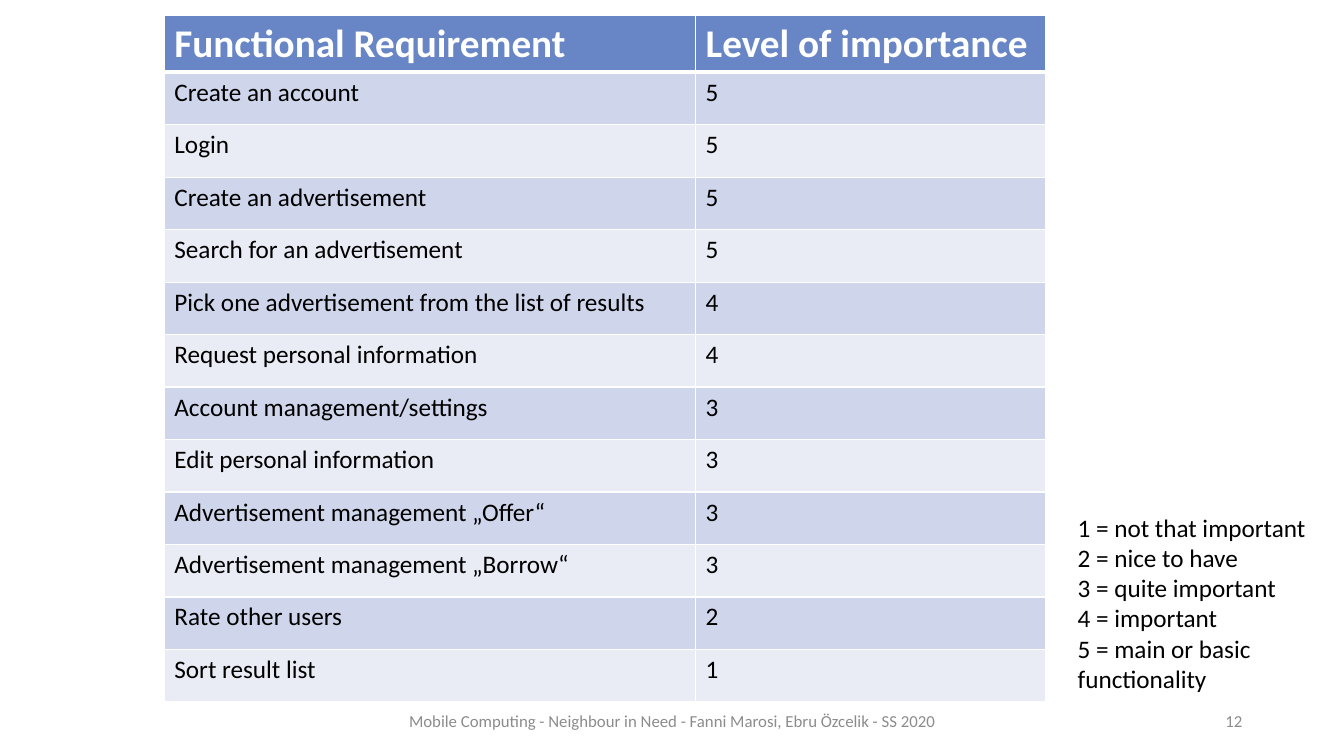
from lxml.etree import SubElement
from pptx import Presentation
from pptx.dml.color import RGBColor
from pptx.enum.text import MSO_ANCHOR, PP_ALIGN
from pptx.oxml import parse_xml
from pptx.oxml.ns import nsdecls, qn
from pptx.util import Inches, Pt

WHITE = RGBColor(0xFF, 0xFF, 0xFF)
BLACK = RGBColor(0x00, 0x00, 0x00)
GREY = RGBColor(0x8C, 0x8C, 0x8C)
HEADER_BLUE = RGBColor(0x68, 0x86, 0xC5)
BANDS = (RGBColor(0xE9, 0xEB, 0xF5), RGBColor(0xCF, 0xD5, 0xEA))

SLIDE_SIZE = (13.33, 7.5)
TABLE_BOX = (1.63, 0.15, 8.74, 6.81)
LEGEND_BOX = (10.59, 5.03, 2.74, 1.92)
FOOTER_BOX = (2.59, 6.95, 8.16, 0.4)
NUMBER_BOX = (9.42, 6.95, 3, 0.4)
HEADER_HEIGHT = 0.56
REQUIREMENT_WIDTH = 5.27

HEADINGS = ("Functional Requirement", "Level of importance")
REQUIREMENTS = (
    ("Create an account", 5),
    ("Login", 5),
    ("Create an advertisement", 5),
    ("Search for an advertisement", 5),
    ("Pick one advertisement from the list of results", 4),
    ("Request personal information", 4),
    ("Account management/settings", 3),
    ("Edit personal information", 3),
    ("Advertisement management „Offer“", 3),
    ("Advertisement management „Borrow“", 3),
    ("Rate other users", 2),
    ("Sort result list", 1),
)
LEVELS = ("not that important", "nice to have", "quite important",
          "important", "main or basic functionality")


def write(frame, text, size=18, color=BLACK, bold=False,
          align=PP_ALIGN.LEFT, anchor=None):
    paragraph = frame.paragraphs[0]
    paragraph.text = text
    paragraph.alignment = align
    for run in paragraph.runs:
        run.font.name = "Calibri"
        run.font.size = Pt(size)
        run.font.bold = bold
        run.font.color.rgb = color
    if anchor is not None:
        frame.vertical_anchor = anchor


def add_text(slide, box, text, **style):
    frame = slide.shapes.add_textbox(*map(Inches, box)).text_frame
    frame.word_wrap = True
    write(frame, text, **style)


def add_borders(cell, bottom):
    properties = cell._tc.get_or_add_tcPr()
    for position, (side, width) in enumerate(
            (("L", 1), ("R", 1), ("T", 1), ("B", bottom))):
        border = parse_xml(f'<a:ln{side} {nsdecls("a")} w="{Pt(width)}"/>')
        fill = SubElement(border, qn("a:solidFill"))
        SubElement(fill, qn("a:srgbClr"), val=str(WHITE))
        properties.insert(position, border)


def add_requirements(slide, box):
    rows = (HEADINGS, *REQUIREMENTS)
    table = slide.shapes.add_table(
        len(rows), len(HEADINGS), *map(Inches, box)).table
    width, height = box[2:]
    table.columns[0].width = Inches(REQUIREMENT_WIDTH)
    table.columns[1].width = Inches(width - REQUIREMENT_WIDTH)
    row_height = (height - HEADER_HEIGHT) / len(REQUIREMENTS)
    for index, values in enumerate(rows):
        is_header = index == 0
        table.rows[index].height = Inches(
            HEADER_HEIGHT if is_header else row_height)
        for cell, value in zip(table.rows[index].cells, values):
            cell.fill.solid()
            cell.fill.fore_color.rgb = (
                HEADER_BLUE if is_header else BANDS[index % 2])
            add_borders(cell, bottom=3 if is_header else 1)
            write(cell.text_frame, str(value), bold=is_header,
                  size=28 if is_header else 18,
                  color=WHITE if is_header else BLACK)


def add_legend(slide, box):
    add_text(slide, box, "\n".join(
        f"{level} = {meaning}" for level, meaning in enumerate(LEVELS, 1)))


def add_footer(slide, footer_box, number_box):
    style = dict(size=12, color=GREY, anchor=MSO_ANCHOR.MIDDLE)
    add_text(slide, footer_box,
             "Mobile Computing - Neighbour in Need - "
             "Fanni Marosi, Ebru Özcelik - SS 2020",
             align=PP_ALIGN.CENTER, **style)
    add_text(slide, number_box, "12", align=PP_ALIGN.RIGHT, **style)


def main():
    deck = Presentation()
    deck.slide_width, deck.slide_height = map(Inches, SLIDE_SIZE)
    slide = deck.slides.add_slide(deck.slide_layouts[6])
    add_footer(slide, FOOTER_BOX, NUMBER_BOX)
    add_requirements(slide, TABLE_BOX)
    add_legend(slide, LEGEND_BOX)
    deck.save("out.pptx")


if __name__ == "__main__":
    main()
